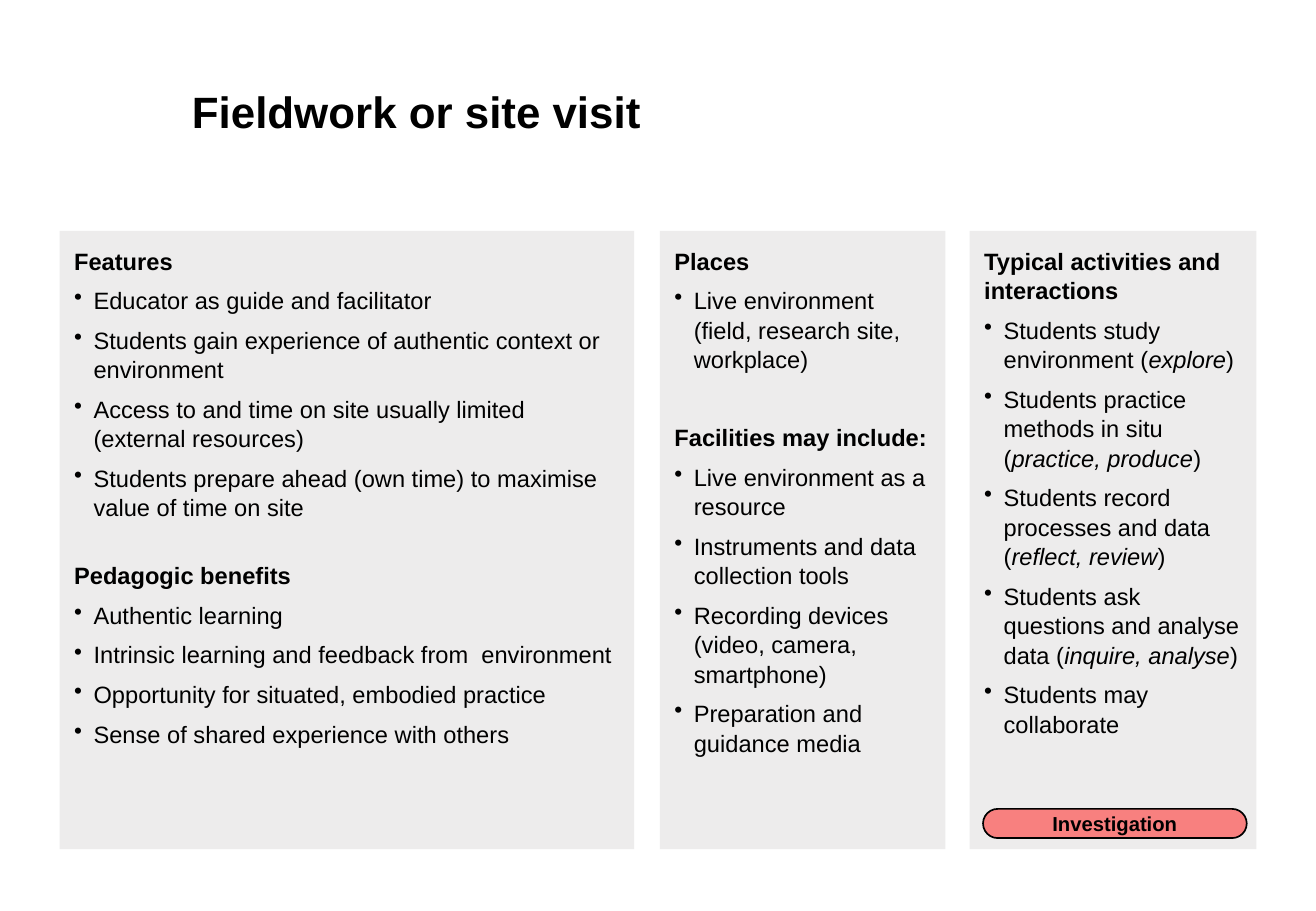
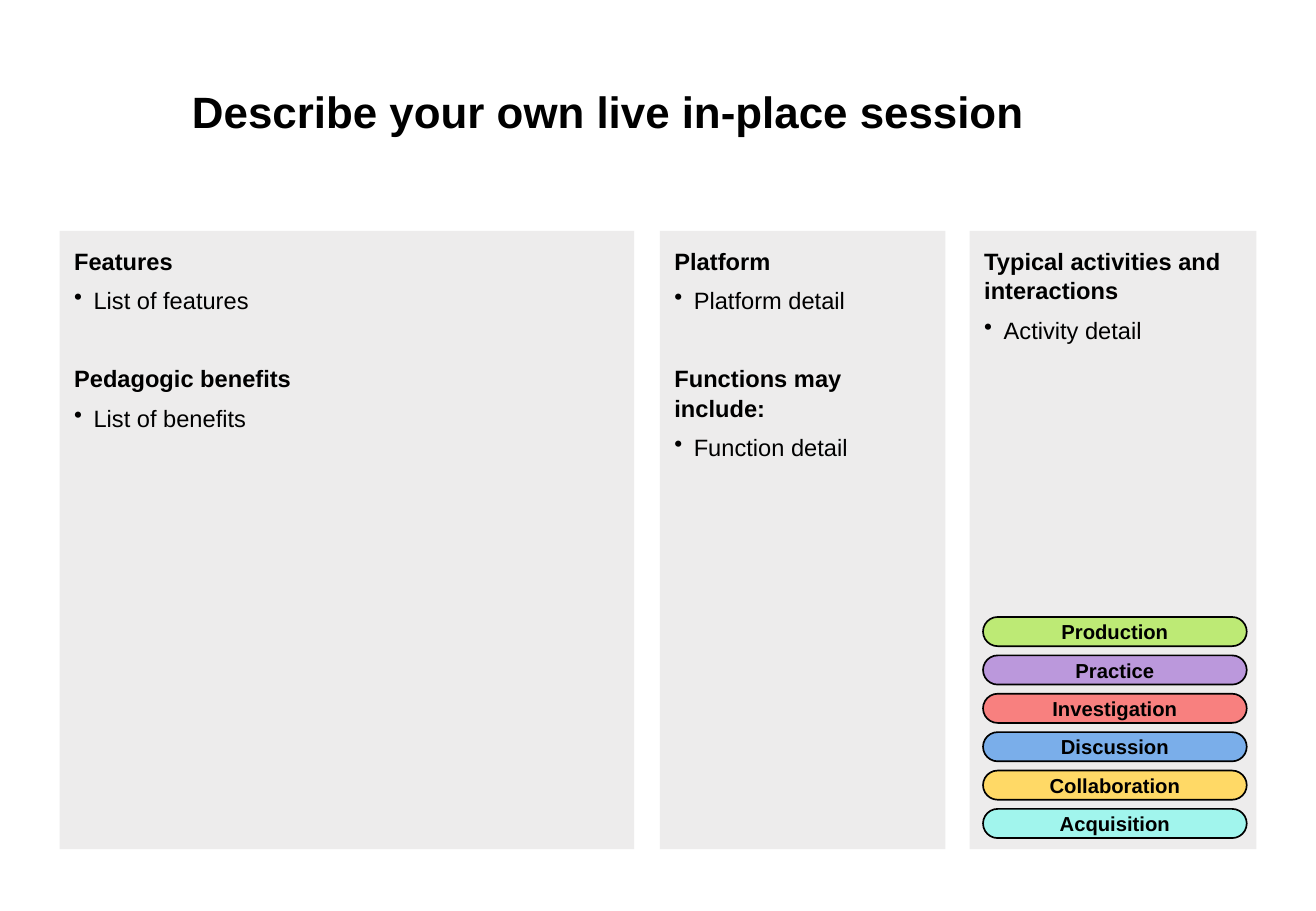
from lxml import etree
from pptx import Presentation
from pptx.dml.color import RGBColor
from pptx.enum.shapes import MSO_SHAPE
from pptx.enum.text import MSO_ANCHOR, PP_ALIGN
from pptx.oxml.ns import qn
from pptx.util import Inches, Pt

RECTANGLE = MSO_SHAPE.RECTANGLE
ROUNDED = MSO_SHAPE.ROUNDED_RECTANGLE
TOP, MIDDLE = MSO_ANCHOR.TOP, MSO_ANCHOR.MIDDLE
LEFT, CENTER = PP_ALIGN.LEFT, PP_ALIGN.CENTER

BLACK = RGBColor(0x00, 0x00, 0x00)
PANEL_GREY = RGBColor(0xED, 0xEC, 0xEC)
ACTIVITY_COLOURS = {
    "Production": RGBColor(0xBD, 0xEA, 0x75),
    "Practice": RGBColor(0xBB, 0x98, 0xDC),
    "Investigation": RGBColor(0xF8, 0x80, 0x7F),
    "Discussion": RGBColor(0x7A, 0xAE, 0xEA),
    "Collaboration": RGBColor(0xFF, 0xD9, 0x66),
    "Acquisition": RGBColor(0xA1, 0xF5, 0xED),
}

FONT = "Arial"
PANEL_COLUMNS = [(0.49, 4.73), (5.43, 2.35), (7.98, 2.36)]
PANEL_TOP, PANEL_HEIGHT = 1.9, 5.09
PILL_LEFT, PILL_WIDTH, PILL_HEIGHT = 8.09, 2.17, 0.24
FIRST_PILL_TOP, LAST_PILL_TOP = 5.08, 6.66
PILL_PITCH = (LAST_PILL_TOP - FIRST_PILL_TOP) / (len(ACTIVITY_COLOURS) - 1)
LINE_SPACING = 1.04
PARAGRAPH_GAP = 6
LINE_GAP = 22.8
SECTION_GAP = 28.8

SLIDES = [
    {
        "title": "Fieldwork or site visit",
        "panels": [
            [
                ("Features", PARAGRAPH_GAP, [
                    "Educator as guide and facilitator",
                    "Students gain experience of authentic context or environment",
                    "Access to and time on site usually limited (external resources)",
                    "Students prepare ahead (own time) to maximise value of time on site",
                ]),
                ("Pedagogic benefits", LINE_GAP, [
                    "Authentic learning",
                    "Intrinsic learning and feedback from  environment",
                    "Opportunity for situated, embodied practice",
                    "Sense of shared experience with others",
                ]),
            ],
            [
                ("Places", PARAGRAPH_GAP, [
                    "Live environment (field, research site, workplace)",
                ]),
                ("Facilities may include:", SECTION_GAP, [
                    "Live environment as a resource",
                    "Instruments and data collection tools",
                    "Recording devices (video, camera, smartphone)",
                    "Preparation and guidance media",
                ]),
            ],
            [
                ("Typical activities and interactions", PARAGRAPH_GAP, [
                    "Students study environment (*explore*)",
                    "Students practice methods in situ (*practice, produce*)",
                    "Students record processes and data (*reflect, review*)",
                    "Students ask questions and analyse data (*inquire, analyse*)",
                    "Students may collaborate",
                ]),
            ],
        ],
        "pills": ["Investigation"],
    },
    {
        "title": "Describe your own live in-place session",
        "panels": [
            [
                ("Features", PARAGRAPH_GAP, ["List of features"]),
                ("Pedagogic benefits", SECTION_GAP, ["List of benefits"]),
            ],
            [
                ("Platform", PARAGRAPH_GAP, ["Platform detail"]),
                ("Functions may include:", SECTION_GAP, ["Function detail"]),
            ],
            [
                ("Typical activities and interactions", PARAGRAPH_GAP, ["Activity detail"]),
            ],
        ],
        "pills": list(ACTIVITY_COLOURS),
    },
]


def prepare_frame(shape, insets, anchor):
    frame = shape.text_frame
    frame.word_wrap = True
    frame.vertical_anchor = anchor
    frame.margin_left, frame.margin_top, frame.margin_right, frame.margin_bottom = [
        Inches(inset) for inset in insets
    ]
    return frame


def write_paragraph(paragraph, text, size, bold, align=LEFT):
    paragraph.alignment = align
    paragraph.font.name = FONT
    paragraph.font.size = Pt(size)
    paragraph.font.bold = bold
    paragraph.font.color.rgb = BLACK
    for index, part in enumerate(text.split("*")):
        if part:
            span = paragraph.add_run()
            span.text = part
            if index % 2:
                span.font.italic = True


deck = Presentation()
deck.slide_width = Inches(10.83)
deck.slide_height = Inches(7.5)

for content in SLIDES:
    page = deck.slides.add_slide(deck.slide_layouts[6])

    title = page.shapes.add_textbox(Inches(1.28), Inches(0.52), Inches(7.76), Inches(0.79))
    frame = prepare_frame(title, (0.3, 0, 0, 0), MIDDLE)
    write_paragraph(frame.paragraphs[0], content["title"], 26, True)

    for (left, width), sections in zip(PANEL_COLUMNS, content["panels"]):
        panel = page.shapes.add_shape(
            RECTANGLE, Inches(left), Inches(PANEL_TOP), Inches(width), Inches(PANEL_HEIGHT)
        )
        panel.shadow.inherit = False
        panel.fill.solid()
        panel.fill.fore_color.rgb = PANEL_GREY
        panel.line.fill.background()
        frame = prepare_frame(panel, (0.12, 0.12, 0.12, 0.12), TOP)

        lines = []
        for heading, gap, items in sections:
            lines.append((heading, gap, True))
            lines.extend((item, PARAGRAPH_GAP, False) for item in items)

        for index, (text, gap, is_heading) in enumerate(lines):
            para = frame.add_paragraph() if index else frame.paragraphs[0]
            para.space_before = Pt(gap)
            para.line_spacing = LINE_SPACING
            write_paragraph(para, text, 14, is_heading)
            if not is_heading:
                properties = para._p.get_or_add_pPr()
                properties.set("marL", str(Inches(0.16)))
                properties.set("indent", str(-Inches(0.16)))
                bullet = etree.Element(qn("a:buChar"), char="•")
                properties.find(qn("a:defRPr")).addprevious(bullet)

    first_top = LAST_PILL_TOP - PILL_PITCH * (len(content["pills"]) - 1)
    for index, activity in enumerate(content["pills"]):
        pill = page.shapes.add_shape(
            ROUNDED,
            Inches(PILL_LEFT),
            Inches(first_top + index * PILL_PITCH),
            Inches(PILL_WIDTH),
            Inches(PILL_HEIGHT),
        )
        pill.adjustments[0] = 0.5
        pill.shadow.inherit = False
        pill.fill.solid()
        pill.fill.fore_color.rgb = ACTIVITY_COLOURS[activity]
        pill.line.color.rgb = BLACK
        pill.line.width = Pt(1)
        frame = prepare_frame(pill, (0.2, 0.05, 0.2, 0.05), MIDDLE)
        write_paragraph(frame.paragraphs[0], activity, 12, True, CENTER)

deck.save("out.pptx")
